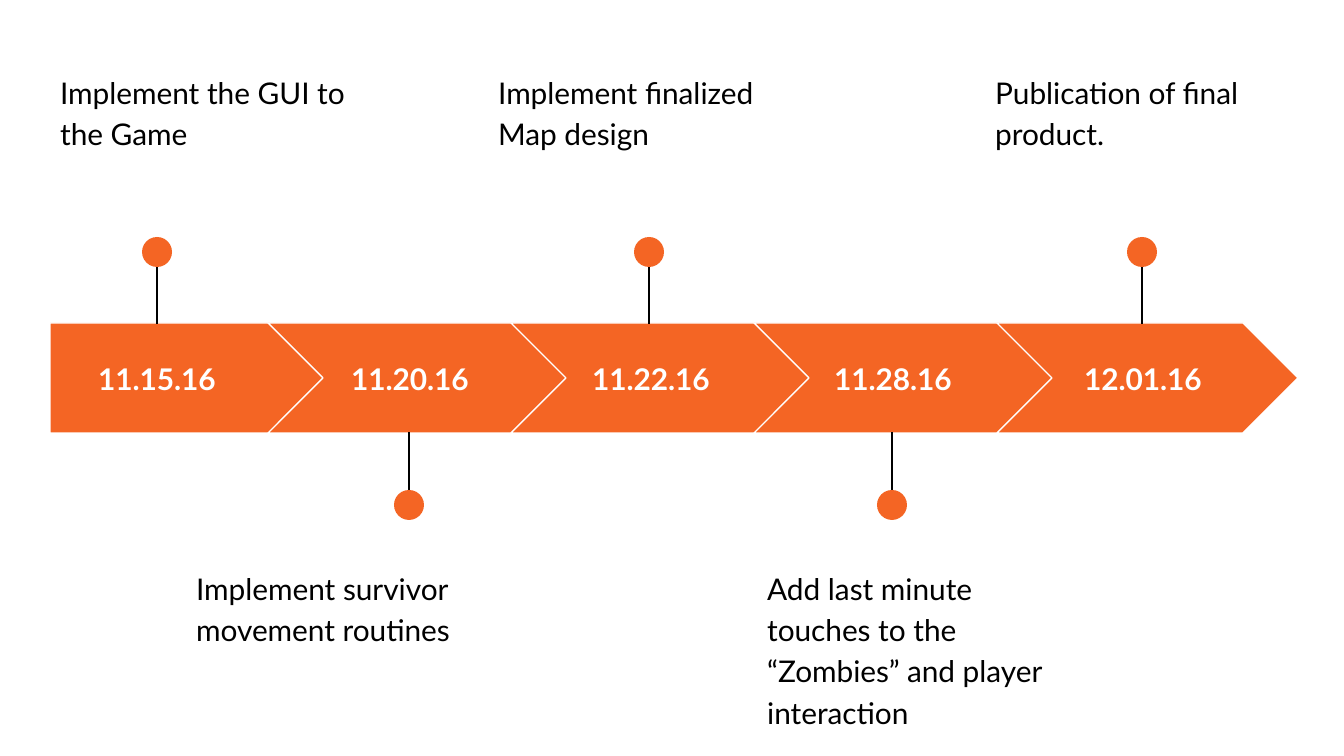
"""Build a five-step project timeline slide with dated arrows and captions."""
from lxml.etree import SubElement
from pptx import Presentation
from pptx.dml.color import RGBColor
from pptx.enum.shapes import MSO_CONNECTOR, MSO_SHAPE
from pptx.enum.text import MSO_ANCHOR, PP_ALIGN
from pptx.oxml.ns import qn
from pptx.util import Pt

PX = 914400 / 134.4
COLORS = {"accent": "F46524", "white": "FFFFFF", "black": "000000"}
RGB = {name: RGBColor.from_string(value) for name, value in COLORS.items()}
DATE = {
    "para": {"alignment": PP_ALIGN.CENTER},
    "font": {"name": "Lato", "size": Pt(16), "bold": True},
}
CAPTION = {
    "para": {"line_spacing": 1.15, "space_after": Pt(16)},
    "font": {"name": "Lato", "size": Pt(16), "bold": False},
}
STEPS = [
    ("11.15.16", 50, 157, 47, "Implement the GUI to the Game"),
    ("11.20.16", 313, 409, 183, "Implement survivor movement routines"),
    ("11.22.16", 554, 649, 485, "Implement finalized Map design"),
    ("11.28.16", 796, 892, 754,
     "Add last minute touches to the “Zombies” and player interaction"),
    ("12.01.16", 1046, 1142, 982, "Publication of final product."),
]


def px(*values):
    return [round(v * PX) for v in values]


def add_text(s, text, box, style, color, anchor):
    tf = s.shapes.add_textbox(*px(*box)).text_frame
    tf.word_wrap = True
    tf.vertical_anchor = anchor
    for side in ("left", "top", "right", "bottom"):
        setattr(tf, f"margin_{side}", Pt(7.2))
    p = tf.paragraphs[0]
    r = p.add_run()
    r.text = text
    for target, values in ((p, style["para"]), (r.font, style["font"])):
        for name, value in values.items():
            setattr(target, name, value)
    r.font.color.rgb = RGB[color]


prs = Presentation()
prs.slide_width, prs.slide_height = px(1344, 756)
s = prs.slides.add_slide(prs.slide_layouts[6])

for i, (date, date_x, pin_x, caption_x, caption) in enumerate(STEPS):
    above = i % 2 == 0
    kind, left, width = MSO_SHAPE.CHEVRON, 25 + 243 * i, 301
    date_w = 194
    if i == 0:
        kind, left, width = MSO_SHAPE.PENTAGON, 50, 275
        date_w = 214
    pin_y, band_y, dot_y, caption_y = (
        (242, 324, 237, 56) if above else (513, 432, 490, 552)
    )

    band = s.shapes.add_shape(kind, *px(left, 323, width, 110))
    band.adjustments[0] = 0.5
    band.shadow.inherit = False
    band.fill.solid()
    band.fill.fore_color.rgb = RGB["accent"]
    band.line.color.rgb = RGB["white"]
    band.line.width = Pt(0.75)
    add_text(s, date, (date_x, 344, date_w, 69), DATE, "white", MSO_ANCHOR.MIDDLE)

    pin = s.shapes.add_connector(
        MSO_CONNECTOR.STRAIGHT, *px(pin_x, pin_y, pin_x, band_y)
    )
    pin.line.color.rgb = RGB["black"]
    pin.line.width = Pt(0.75)
    SubElement(pin._element.spPr, qn("a:effectLst"))

    dot = s.shapes.add_shape(MSO_SHAPE.OVAL, *px(pin_x - 15, dot_y, 30, 30))
    dot.shadow.inherit = False
    dot.fill.solid()
    dot.fill.fore_color.rgb = RGB["accent"]
    dot.line.fill.background()
    add_text(s, caption, (caption_x, caption_y, 329, 133), CAPTION, "black",
             MSO_ANCHOR.TOP)

prs.save("out.pptx")
